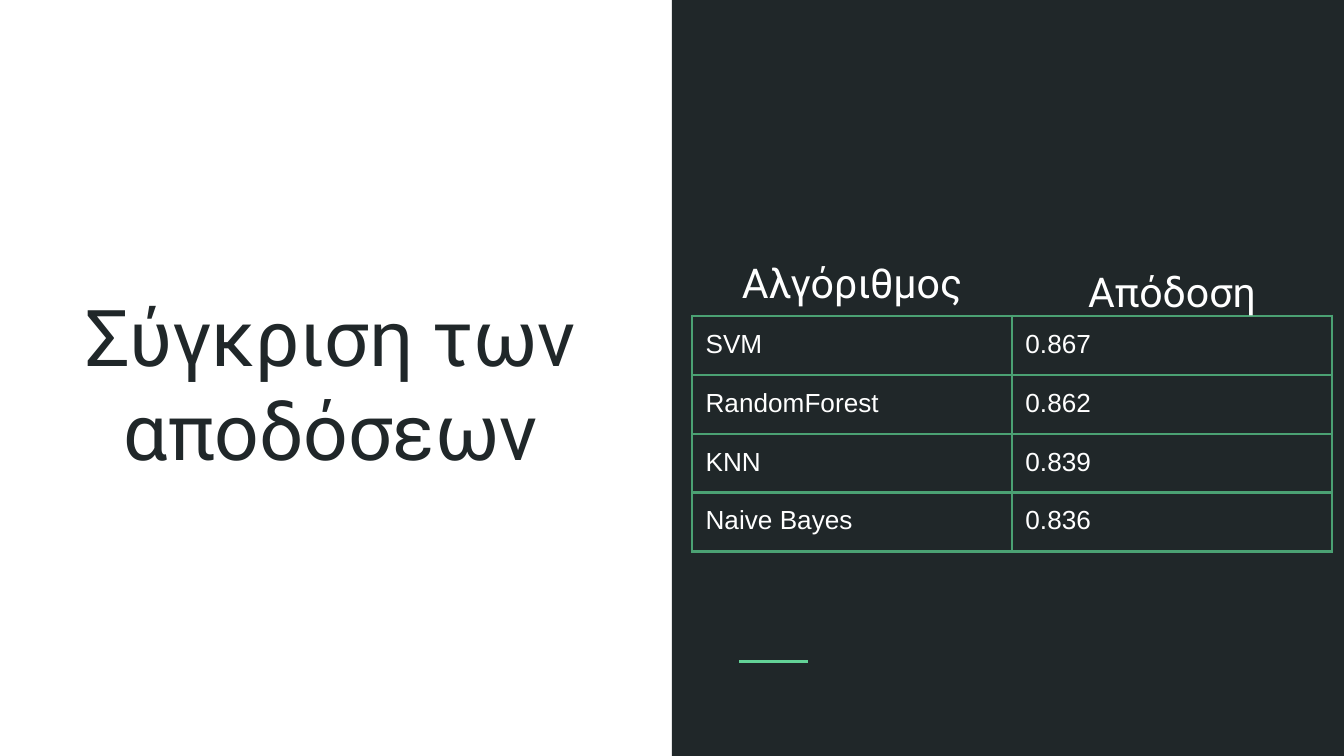
from lxml import etree
from pptx import Presentation
from pptx.dml.color import RGBColor
from pptx.enum.shapes import MSO_CONNECTOR, MSO_SHAPE
from pptx.enum.text import MSO_ANCHOR, PP_ALIGN
from pptx.oxml.ns import qn
from pptx.util import Inches, Pt

TITLE = "Σύγκριση των αποδόσεων"
HEADS = [("Αλγόριθμος", 1.76, 0.58), ("Απόδοση", 1.83, 0.45)]  # text, top, height
SCORES = [
    ("SVM", "0.867"),
    ("RandomForest", "0.862"),
    ("KNN", "0.839"),
    ("Naive Bayes", "0.836"),
]

WHITE = RGBColor(0xFF, 0xFF, 0xFF)
DARK = RGBColor(0x20, 0x27, 0x29)
MINT = RGBColor(0x63, 0xD2, 0x97)
GREEN = RGBColor(0x4B, 0xA1, 0x73)
RECT = MSO_SHAPE.RECTANGLE
STRAIGHT = MSO_CONNECTOR.STRAIGHT
CENTER = PP_ALIGN.CENTER
TOP, BOTTOM = MSO_ANCHOR.TOP, MSO_ANCHOR.BOTTOM

WIDE = 10
HIGH = WIDE * 9 / 16
HALF = WIDE / 2
LEFT, GRID_TOP = 5.15, 2.35
COL = 2.38
ROWS = [0.44, 0.44, 0.43, 0.44]
PAD = Inches(0.1)


def style(para, font, size, color):
    para.font.name = font
    para.font.size = Pt(size)
    para.font.color.rgb = color


def pad(item):
    item.margin_left = item.margin_right = PAD
    item.margin_top = item.margin_bottom = PAD


def add_text(slide, text, box, size, color, anchor=TOP, spacing=1.0):
    frame = slide.shapes.add_textbox(*map(Inches, box)).text_frame
    frame.word_wrap = True
    frame.vertical_anchor = anchor
    pad(frame)
    para = frame.paragraphs[0]
    para.text = text
    para.alignment = CENTER
    para.line_spacing = spacing
    style(para, "Roboto", size, color)


def add_borders(cell, color, width):
    props = cell._tc.get_or_add_tcPr()
    for place, side in enumerate(("lnL", "lnR", "lnT", "lnB")):
        line = etree.Element(qn(f"a:{side}"), w=str(Pt(width)))
        fill = etree.SubElement(line, qn("a:solidFill"))
        etree.SubElement(fill, qn("a:srgbClr"), val=str(color))
        props.insert(place, line)


def add_panel(slide):
    panel = slide.shapes.add_shape(
        RECT, Inches(HALF), 0, Inches(HALF), Inches(HIGH))
    panel.shadow.inherit = False
    panel.fill.solid()
    panel.fill.fore_color.rgb = DARK
    panel.line.fill.background()

    start, end, level = map(Inches, (5.5, 6.01, 4.92))
    accent = slide.shapes.add_connector(STRAIGHT, start, level, end, level)
    accent.line.color.rgb = MINT
    accent.line.width = Pt(1.5)
    etree.SubElement(accent._element.spPr, qn("a:effectLst"))


def add_scores(slide):
    count = len(SCORES[0])
    box = (LEFT, GRID_TOP, count * COL, sum(ROWS))
    table = slide.shapes.add_table(
        len(SCORES), count, *map(Inches, box)).table
    table.first_row = table.horz_banding = False
    for column in table.columns:
        column.width = Inches(COL)
    for row, height, values in zip(table.rows, ROWS, SCORES):
        row.height = Inches(height)
        for cell, value in zip(row.cells, values):
            cell.text = value
            pad(cell)
            style(cell.text_frame.paragraphs[0], "Arial", 14, WHITE)
            cell.fill.background()
            add_borders(cell, GREEN, 1.5)


def main():
    deck = Presentation()
    deck.slide_width, deck.slide_height = Inches(WIDE), Inches(HIGH)
    slide = deck.slides.add_slide(deck.slide_layouts[6])
    add_panel(slide)
    add_text(slide, TITLE, (0.25, 1.99, 4.42, 1.65), 42, DARK, BOTTOM)
    add_scores(slide)
    for index, (text, top, height) in enumerate(HEADS):
        box = (LEFT + index * COL, top, COL, height)
        add_text(slide, text, box, 22, WHITE, spacing=1.15)
    deck.save("out.pptx")


if __name__ == "__main__":
    main()
